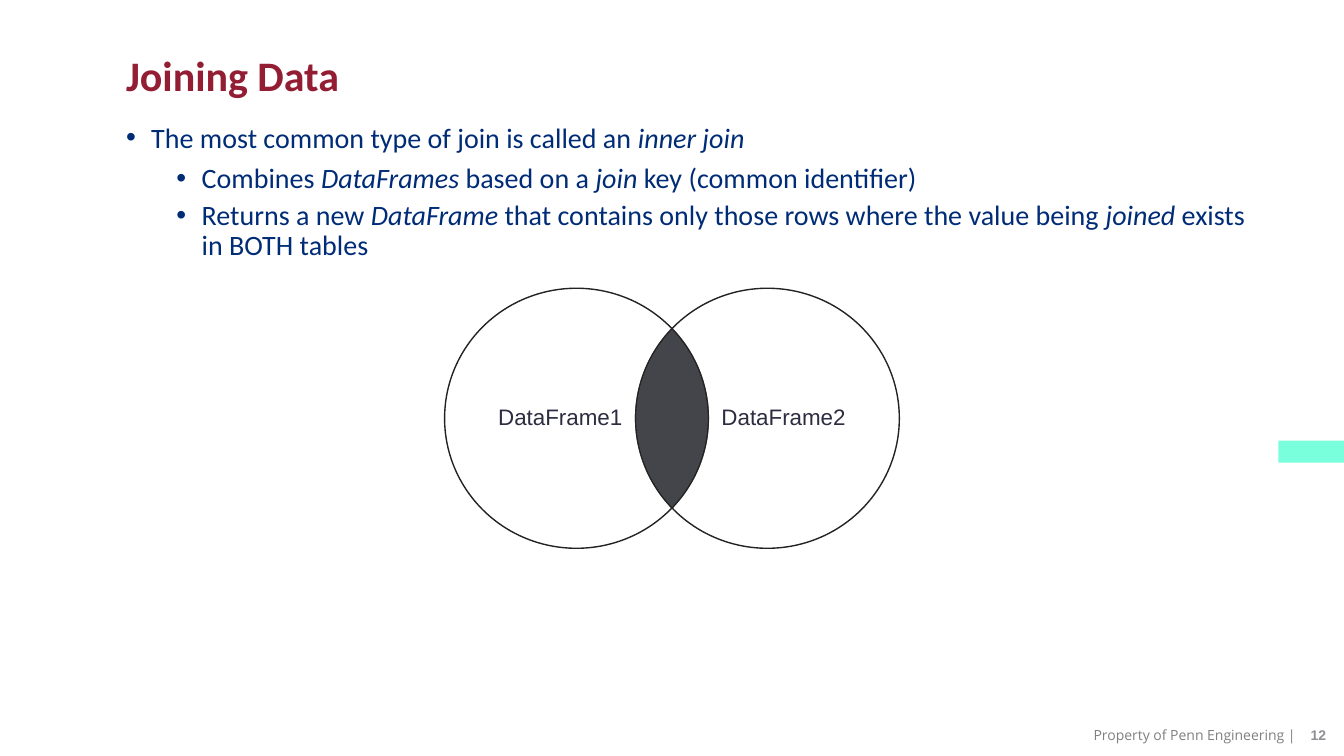
import math
from collections import namedtuple

from lxml import etree
from pptx import Presentation
from pptx.dml.color import RGBColor
from pptx.enum.shapes import MSO_SHAPE
from pptx.enum.text import MSO_ANCHOR, MSO_AUTO_SIZE, PP_ALIGN
from pptx.oxml.ns import qn
from pptx.util import Inches, Pt

OVAL, RECTANGLE = MSO_SHAPE.OVAL, MSO_SHAPE.RECTANGLE
TOP, MIDDLE = MSO_ANCHOR.TOP, MSO_ANCHOR.MIDDLE
LEFT, CENTER, RIGHT = PP_ALIGN.LEFT, PP_ALIGN.CENTER, PP_ALIGN.RIGHT
NO_AUTOFIT = MSO_AUTO_SIZE.NONE

CRIMSON = RGBColor(0x93, 0x1D, 0x33)
NAVY = RGBColor(0x00, 0x2C, 0x77)
MINT = RGBColor(0x7A, 0xFF, 0xDC)
SLATE = RGBColor(0x43, 0x45, 0x4B)
EDGE_GRAY = RGBColor(0x66, 0x66, 0x66)
OUTLINE = RGBColor(0x23, 0x23, 0x23)
LABEL_INK = RGBColor(0x2D, 0x2C, 0x41)
FOOTER_GRAY = RGBColor(0x80, 0x80, 0x80)
NUMBER_GRAY = RGBColor(0x8F, 0x8F, 0x93)

Box = namedtuple("Box", "left top width height")
SLIDE = Box(0, 0, 13.33, 7.5)
MARGIN, CONTENT_WIDTH = 1.25, 11.22
TITLE_BOX = Box(MARGIN, 0.37, CONTENT_WIDTH, 0.8)
BODY_BOX = Box(MARGIN, 1.23, CONTENT_WIDTH, 4.56)
VENN_BOX = Box(4.41, 2.86, 4.51, 2.58)
FOOTER_BOX = Box(9.89, 7.1, 3.44, 0.4)
ACCENT_BOX = Box(12.68, 4.37, 0.65, 0.22)

HANGING = 0.25
CIRCLE_SHARE = 0.58
LABEL_SHIFT = 0.32
ARC_STEPS = 40

BULLETS = [
    (0.25, 0, 2, "The most common type of join is called an *inner join*"),
    (0.75, 5, 0, "Combines *DataFrames* based on a *join* key (common identifier)"),
    (0.75, 5, 0, "Returns a new *DataFrame* that contains only those rows where "
                 "the value being *joined* exists in BOTH tables"),
]


def inches(box):
    return [Inches(length) for length in box]


def set_frame(text_frame, anchor, margins=(0, 0, 0, 0)):
    text_frame.word_wrap = True
    text_frame.auto_size = NO_AUTOFIT
    text_frame.vertical_anchor = anchor
    (text_frame.margin_left, text_frame.margin_top,
     text_frame.margin_right, text_frame.margin_bottom) = inches(margins)


def set_font(font, name, size, color, bold=False):
    font.name = name
    font.size = Pt(size)
    font.bold = bold
    font.color.rgb = color


def write_line(text_frame, text, alignment, *style):
    text_frame.text = text
    paragraph = text_frame.paragraphs[0]
    paragraph.alignment = alignment
    paragraph.line_spacing = 0.9
    set_font(paragraph.runs[0].font, *style)


def add_bullet(paragraph, indent):
    properties = paragraph._p.get_or_add_pPr()
    properties.set("marL", str(Inches(indent)))
    properties.set("indent", str(-Inches(HANGING)))
    font = etree.SubElement(properties, qn("a:buFont"))
    font.set("typeface", "Arial")
    etree.SubElement(properties, qn("a:buChar")).set("char", "•")


def add_title(slide, box):
    title = slide.shapes.title
    title.left, title.top, title.width, title.height = inches(box)
    set_frame(title.text_frame, MIDDLE)
    write_line(title.text_frame, "Joining Data", LEFT, "Calibri", 30, CRIMSON, True)


def add_body(slide, box):
    text_frame = slide.shapes.add_textbox(*inches(box)).text_frame
    set_frame(text_frame, TOP)
    for index, (indent, before, after, text) in enumerate(BULLETS):
        paragraph = text_frame.add_paragraph() if index else text_frame.paragraphs[0]
        add_bullet(paragraph, indent)
        paragraph.line_spacing = 0.9
        paragraph.space_before, paragraph.space_after = Pt(before), Pt(after)
        for part, words in enumerate(text.split("*")):
            if words:
                run = paragraph.add_run()
                run.text = words
                set_font(run.font, "Calibri", 20, NAVY)
                run.font.italic = part % 2 == 1


def add_overlap(slide, box, radius_x, radius_y):
    center_x = box.left + box.width / 2
    center_y = box.top + radius_y
    offset = box.width / 2 - radius_x
    half_angle = math.acos(offset / radius_x)
    points = []
    for side in (1, -1):
        for step in range(ARC_STEPS):
            angle = half_angle * (2 * step / ARC_STEPS - 1)
            points.append((
                Inches(center_x + side * (radius_x * math.cos(angle) - offset)),
                Inches(center_y + side * radius_y * math.sin(angle)),
            ))
    builder = slide.shapes.build_freeform(*points[0])
    builder.add_line_segments(points[1:], close=True)
    overlap = builder.convert_to_shape()
    overlap.shadow.inherit = False
    overlap.fill.solid()
    overlap.fill.fore_color.rgb = SLATE
    overlap.line.color.rgb = EDGE_GRAY
    overlap.line.width = Pt(1)


def add_venn(slide, box):
    diameter = box.width * CIRCLE_SHARE
    add_overlap(slide, box, diameter / 2, box.height / 2)
    circles = [
        ("DataFrame1", box.left, (0, 0, LABEL_SHIFT, 0)),
        ("DataFrame2", box.left + box.width - diameter, (LABEL_SHIFT, 0, 0, 0)),
    ]
    for label, left, margins in circles:
        circle_box = Box(left, box.top, diameter, box.height)
        circle = slide.shapes.add_shape(OVAL, *inches(circle_box))
        circle.shadow.inherit = False
        circle.fill.background()
        circle.line.color.rgb = OUTLINE
        circle.line.width = Pt(1)
        set_frame(circle.text_frame, MIDDLE, margins)
        write_line(circle.text_frame, label, CENTER, "Arial", 16, LABEL_INK)


def add_footer(slide, box):
    number_width = box.width / 8
    parts = [
        ("Property of Penn Engineering |", box.left, box.width - number_width,
         RIGHT, 0.05, ("Open Sans", 10, FOOTER_GRAY)),
        ("12", box.left + box.width - number_width, number_width,
         LEFT, 0.1, ("Arial", 10, NUMBER_GRAY, True)),
    ]
    for text, left, width, alignment, margin, style in parts:
        part_box = Box(left, box.top, width, box.height)
        text_frame = slide.shapes.add_textbox(*inches(part_box)).text_frame
        set_frame(text_frame, MIDDLE, (margin, 0, margin, 0))
        write_line(text_frame, text, alignment, *style)


def add_accent(slide, box):
    accent = slide.shapes.add_shape(RECTANGLE, *inches(box))
    accent.shadow.inherit = False
    accent.fill.solid()
    accent.fill.fore_color.rgb = MINT
    accent.line.fill.background()


def main():
    presentation = Presentation()
    presentation.slide_width = Inches(SLIDE.width)
    presentation.slide_height = Inches(SLIDE.height)
    slide = presentation.slides.add_slide(presentation.slide_layouts[5])
    add_accent(slide, ACCENT_BOX)
    add_title(slide, TITLE_BOX)
    add_body(slide, BODY_BOX)
    add_venn(slide, VENN_BOX)
    add_footer(slide, FOOTER_BOX)
    presentation.save("out.pptx")


if __name__ == "__main__":
    main()
